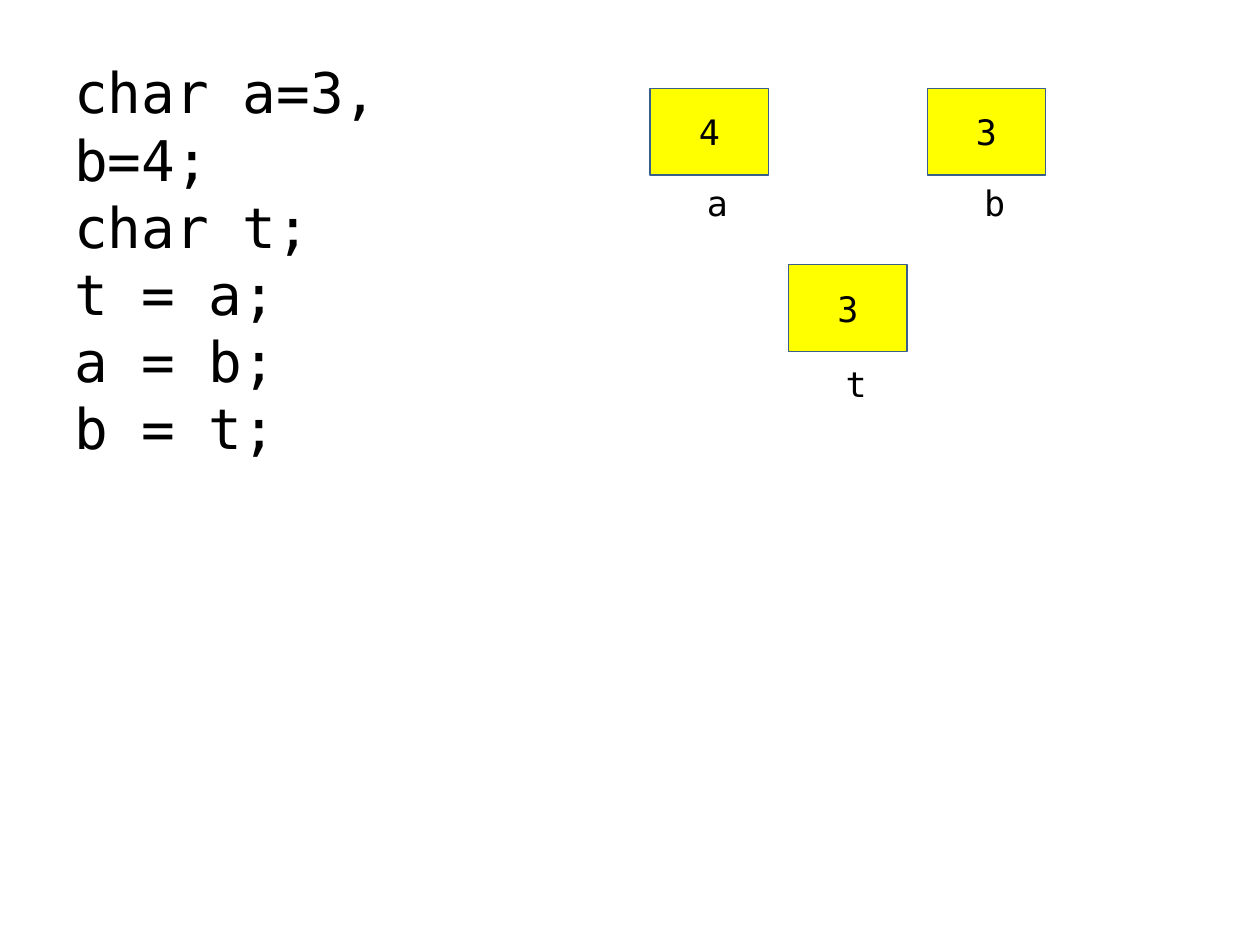
import pptx
import pptx.util
import pptx.dml.color
import pptx.enum.shapes
import pptx.enum.text

Pt = pptx.util.Pt
Color = pptx.dml.color.RGBColor.from_string
ALIGN = pptx.enum.text.PP_ALIGN
ANCHOR = pptx.enum.text.MSO_ANCHOR

THEME = {
    "font": "DejaVu Sans Mono",
    "ink": "000000",
    "cell": "FFFF00",
    "border": "3A5F8C",
    "code_size": 32,
    "cell_size": 20,
}

CODE = ["char a=3, b=4;", "char t;", "t = a;", "a = b;", "b = t;"]
CODE_AREA = (35.3, 29.5, 263.5, 200.9)

# name, value, column, row, gap between cell and name
VARIABLES = [
    ("a", "4", 0, 0, 0),
    ("b", "3", 2, 0, 0),
    ("t", "3", 1, 1, 2.9),
]
GRID_LEFT, GRID_TOP = 371.5, 50.4
COLUMN_STEP, ROW_STEP = 79.2, 100.8
CELL_WIDTH, CELL_HEIGHT = 67.7, 49.7
NAME_INDENT, NAME_WIDTH, NAME_HEIGHT = 25.4, 25.9, 31.7


def write(holder, lines, size, align=ALIGN.LEFT, anchor=ANCHOR.TOP, wrap=True):
    frame = holder.text_frame
    frame.word_wrap = wrap
    frame.vertical_anchor = anchor
    frame.text = "\n".join(lines)
    for paragraph in frame.paragraphs:
        paragraph.alignment = align
        paragraph.font.name = THEME["font"]
        paragraph.font.size = Pt(size)
        paragraph.font.color.rgb = Color(THEME["ink"])


def draw_variable(slide, name, value, column, row, gap):
    left = GRID_LEFT + column * COLUMN_STEP
    top = GRID_TOP + row * ROW_STEP
    cell = slide.shapes.add_shape(
        pptx.enum.shapes.MSO_SHAPE.RECTANGLE,
        Pt(left), Pt(top), Pt(CELL_WIDTH), Pt(CELL_HEIGHT))
    cell.shadow.inherit = False
    cell.fill.solid()
    cell.fill.fore_color.rgb = Color(THEME["cell"])
    cell.line.color.rgb = Color(THEME["border"])
    cell.line.width = Pt(0.75)
    write(cell, [value], THEME["cell_size"], align=ALIGN.CENTER, anchor=ANCHOR.MIDDLE)

    label = slide.shapes.add_textbox(
        Pt(left + NAME_INDENT), Pt(top + CELL_HEIGHT + gap),
        Pt(NAME_WIDTH), Pt(NAME_HEIGHT))
    write(label, [name], THEME["cell_size"], wrap=False)


def main():
    deck = pptx.Presentation()
    deck.slide_width, deck.slide_height = Pt(720), Pt(540)
    slide = deck.slides.add_slide(deck.slide_layouts[6])
    code = slide.shapes.add_textbox(*map(Pt, CODE_AREA))
    write(code, CODE, THEME["code_size"])
    for variable in VARIABLES:
        draw_variable(slide, *variable)
    deck.save("out.pptx")


if __name__ == "__main__":
    main()
